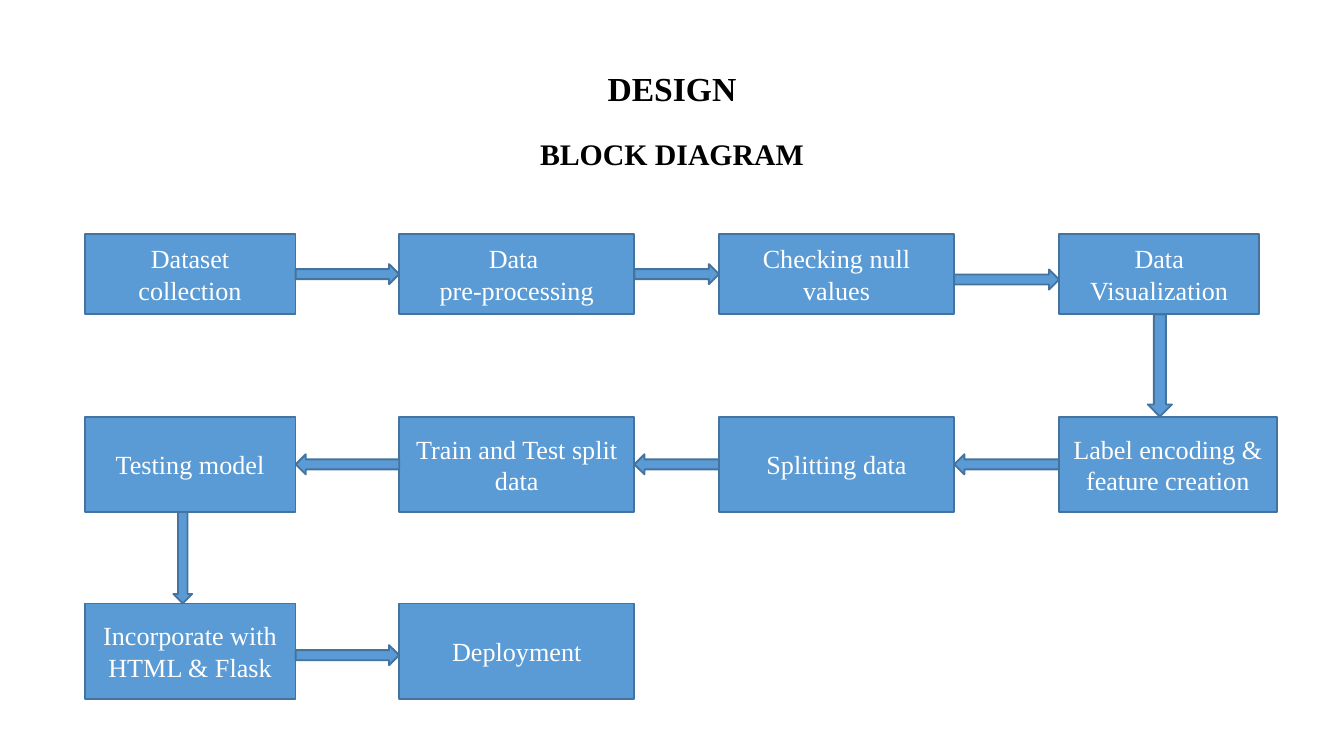
from pptx import Presentation
from pptx.dml.color import RGBColor
from pptx.enum.shapes import MSO_SHAPE
from pptx.enum.text import MSO_ANCHOR, MSO_AUTO_SIZE, PP_ALIGN
from pptx.util import Inches, Pt

RECTANGLE = MSO_SHAPE.RECTANGLE
RIGHT_ARROW = MSO_SHAPE.RIGHT_ARROW
DOWN_ARROW = MSO_SHAPE.DOWN_ARROW
CENTER = PP_ALIGN.CENTER
MIDDLE = MSO_ANCHOR.MIDDLE
NO_AUTOFIT = MSO_AUTO_SIZE.NONE

FONT = "Times New Roman"
COLORS = {"title": "000000", "block": "5B9BD5", "outline": "43739E", "label": "FFFFFF"}
TITLE_ONLY_LAYOUT = 5
ARROW_THICKNESS = 0.15

# Columns shared by all rows: left edge and usual block width
COLUMN_LEFTS = (0.63, 2.97, 5.35, 7.88)
COLUMN_WIDTHS = (1.57, 1.75, 1.75, 1.62)

# Each row: top, height, labels from left to right, then what differs
ROWS = (
    {"top": 1.74, "height": 0.6,
     "labels": ("Dataset collection", "Data \npre-processing",
                "Checking null values", "Data Visualization"),
     "last_width": 1.49, "arrow_shifts": (0, 0, 0.04)},
    {"top": 3.1, "height": 0.71,
     "labels": ("Testing model", "Train and Test split data",
                "Splitting data", "Label encoding & feature creation"),
     "reverse": True},
    {"top": 4.49, "height": 0.71,
     "labels": ("Incorporate with HTML & Flask", "Deployment"),
     "arrow_shifts": (0.03,)},
)


def color(name):
    return RGBColor.from_string(COLORS[name])


def write(paragraph, text, size=14, name="label", bold=False):
    paragraph.alignment = CENTER
    run = paragraph.add_run()
    run.text = text
    run.font.name = FONT
    run.font.size = Pt(size)
    run.font.bold = bold
    run.font.color.rgb = color(name)


def add_block(slide, kind, left, top, width, height, text=None):
    shape = slide.shapes.add_shape(
        kind, Inches(left), Inches(top), Inches(width), Inches(height))
    shape.shadow.inherit = False
    shape.fill.solid()
    shape.fill.fore_color.rgb = color("block")
    shape.line.color.rgb = color("outline")
    shape.line.width = Pt(1)
    if text:
        frame = shape.text_frame
        frame.word_wrap = True
        frame.vertical_anchor = MIDDLE
        for index, line in enumerate(text.split("\n")):
            paragraph = frame.add_paragraph() if index else frame.paragraphs[0]
            write(paragraph, line)
    return shape


def add_title(slide, left, top, width, height):
    title = slide.shapes.title
    title.left, title.top = Inches(left), Inches(top)
    title.width, title.height = Inches(width), Inches(height)
    frame = title.text_frame
    frame.auto_size = NO_AUTOFIT
    frame.vertical_anchor = MIDDLE
    heading, subheading = frame.paragraphs[0], frame.add_paragraph()
    for paragraph, text, size in ((heading, "DESIGN", 18),
                                  (subheading, "BLOCK DIAGRAM", 16)):
        write(paragraph, text, size=size, name="title", bold=True)
        paragraph.line_spacing = 0.9
        paragraph.space_before = Pt(0)
    subheading.space_before = Pt(17)


def add_row(slide, top, height, labels, last_width=None, arrow_shifts=(0, 0, 0),
            reverse=False):
    widths = list(COLUMN_WIDTHS[:len(labels)])
    if last_width:
        widths[-1] = last_width
    for left, width, label in zip(COLUMN_LEFTS, widths, labels):
        add_block(slide, RECTANGLE, left, top, width, height, label)

    # Arrows fill the gaps between neighbouring blocks
    arrow_top = top + (height - ARROW_THICKNESS) / 2
    for index, shift in enumerate(arrow_shifts):
        start = COLUMN_LEFTS[index] + widths[index]
        gap = COLUMN_LEFTS[index + 1] - start
        arrow = add_block(slide, RIGHT_ARROW, start, arrow_top + shift,
                          gap, ARROW_THICKNESS)
        if reverse:
            arrow.rotation = 180


def add_down_arrow(slide, upper, lower, center, thickness):
    top = upper["top"] + upper["height"]
    add_block(slide, DOWN_ARROW, center - thickness / 2, top,
              thickness, lower["top"] - top)


def main():
    presentation = Presentation()
    # Widescreen, 16:9
    presentation.slide_width = Inches(10)
    presentation.slide_height = Inches(10) * 9 // 16
    slide = presentation.slides.add_slide(
        presentation.slide_layouts[TITLE_ONLY_LAYOUT])

    add_title(slide, 0.69, 0.43, 8.62, 0.96)
    for row in ROWS:
        add_row(slide, **row)

    # Turns from one row to the next
    add_down_arrow(slide, ROWS[0], ROWS[1], center=8.63, thickness=0.18)
    add_down_arrow(slide, ROWS[1], ROWS[2], center=1.36, thickness=0.14)

    presentation.save("out.pptx")


if __name__ == "__main__":
    main()
